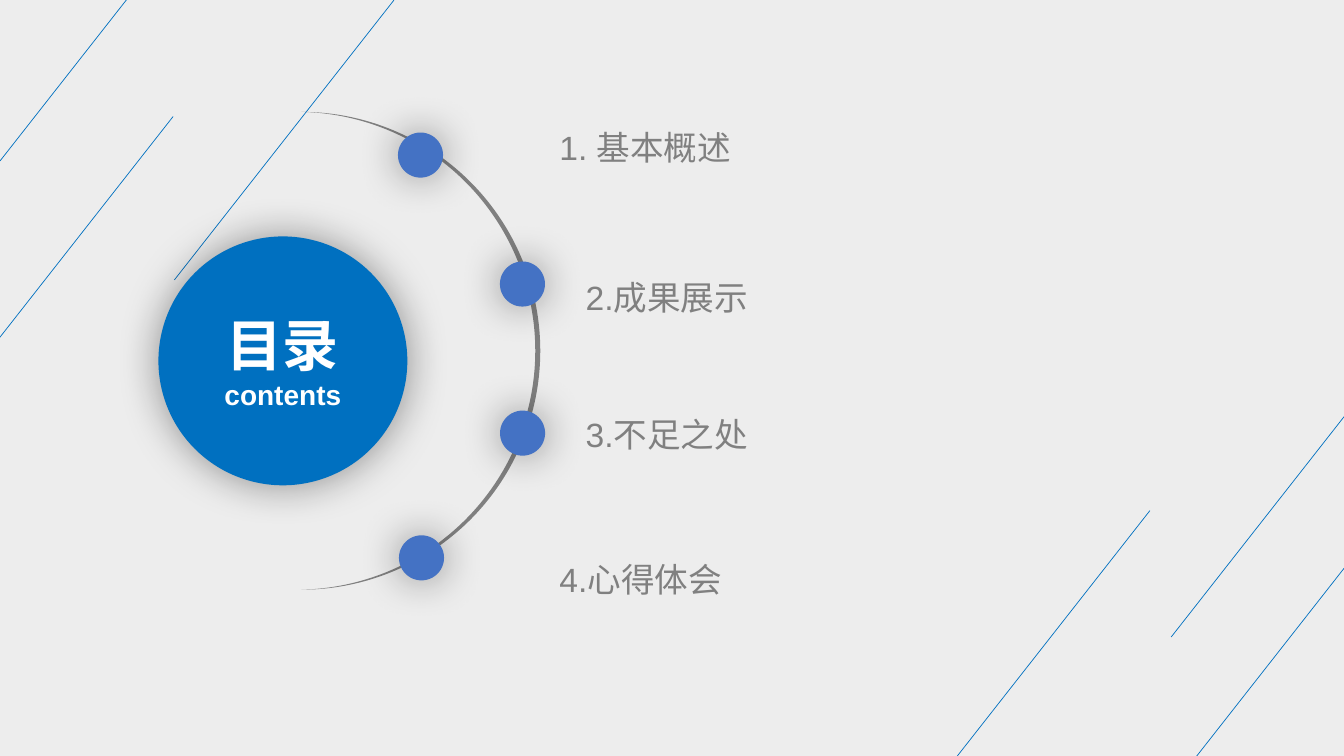
"""Build a contents slide with a round title, an arc and four numbered items."""
from dataclasses import dataclass

from lxml.etree import SubElement
from pptx import Presentation
from pptx.dml.color import RGBColor as Color
from pptx.enum.shapes import MSO_CONNECTOR as Connector, MSO_SHAPE as Shape
from pptx.enum.text import MSO_ANCHOR as Anchor, MSO_AUTO_SIZE as AutoSize, PP_ALIGN as Align
from pptx.oxml.ns import qn
from pptx.util import Pt


@dataclass(frozen=True)
class Theme:
    background: Color = Color(0xED, 0xED, 0xED)
    blue: Color = Color(0x00, 0x70, 0xC0)
    dot: Color = Color(0x44, 0x72, 0xC4)
    gray: Color = Color(0x80, 0x80, 0x80)
    white: Color = Color(0xFF, 0xFF, 0xFF)
    font: str = "Arial"
    title_size: int = 40
    subtitle_size: int = 20
    item_size: int = 24


theme = Theme()


def add_figure(kind, left, top, width, height, color, glow=True):
    shape = slide.shapes.add_shape(kind, Pt(left), Pt(top), Pt(width), Pt(height))
    shape.fill.solid()
    shape.fill.fore_color.rgb = color
    shape.line.fill.background()
    shape.shadow.inherit = False
    if glow:
        effects = shape._element.spPr.find(qn("a:effectLst"))
        shadow = SubElement(effects, qn("a:outerShdw"), blurRad=str(Pt(30)), dist="0", algn="ctr", rotWithShape="0")
        tint = SubElement(shadow, qn("a:srgbClr"), val="000000")
        SubElement(tint, qn("a:alpha"), val="40000")
    return shape


def write_line(paragraph, text, size, color, bold, spacing):
    paragraph.line_spacing = spacing
    paragraph.space_before = Pt(0)
    run = paragraph.add_run()
    run.text = text
    run.font.name = theme.font
    run.font.size = Pt(size)
    run.font.bold = bold
    run.font.color.rgb = color


presentation = Presentation()
presentation.slide_width = Pt(960)
presentation.slide_height = Pt(540)
comparison_layout = presentation.slide_layouts[4]
slide = presentation.slides.add_slide(comparison_layout)
slide.background.fill.solid()
slide.background.fill.fore_color.rgb = theme.background

stripe_width, stripe_height = 156.8, 199.8
stripe_starts = [(664.6, 564.5), (836.6, 455), (-33.1, 283), (124.6, 199.9), (821.5, 582.5), (0, 115)]
for x, y in stripe_starts:
    stripe = slide.shapes.add_connector(
        Connector.STRAIGHT, Pt(x), Pt(y), Pt(x + stripe_width), Pt(y - stripe_height))
    stripe.line.color.rgb = theme.blue
    stripe.line.width = Pt(0.5)
    SubElement(stripe._element.spPr, qn("a:effectLst"))

title, *item_boxes = slide.placeholders
items = [
    ("1. 基本概述", 392.4, 72.7, 424),
    ("2.成果展示", 411.1, 180, 345.6),
    ("3.不足之处", 411.1, 277.9, 345.6),
    ("4.心得体会", 392.4, 380.9, 345.6),
]
for box, (text, left, top, width) in zip(item_boxes, items):
    box.left, box.top, box.width, box.height = Pt(left), Pt(top), Pt(width), Pt(46)
    frame = box.text_frame
    frame.word_wrap = True
    frame.auto_size = AutoSize.NONE
    frame.vertical_anchor = Anchor.TOP
    paragraph = frame.paragraphs[0]
    write_line(paragraph, text, theme.item_size, theme.gray, False, 1.5)
    properties = paragraph._p.get_or_add_pPr()
    properties.set("marL", "0")
    properties.set("indent", "0")
    SubElement(properties, qn("a:buNone"))

circle = add_figure(Shape.OVAL, 113.2, 168.9, 177.8, 177.8, theme.blue)
title.left, title.top, title.width, title.height = circle.left, circle.top, circle.width, circle.height
slide.shapes._spTree.append(title._element)
frame = title.text_frame
frame.word_wrap = True
frame.auto_size = AutoSize.NONE
frame.vertical_anchor = Anchor.MIDDLE
title_lines = [
    (frame.paragraphs[0], "目录", theme.title_size),
    (frame.add_paragraph(), "contents", theme.subtitle_size),
]
for paragraph, text, size in title_lines:
    paragraph.alignment = Align.CENTER
    write_line(paragraph, text, size, theme.white, True, 1.0)

arc = add_figure(Shape.MOON, 215.3, 79.9, 170.6, 341.3, theme.gray, glow=False)
arc.adjustments[0] = 0.021
arc.rotation = 180

dot_size = 32.2
for left, top in [(284.3, 94.7), (357.1, 186.8), (357.2, 293.3), (285, 382.4)]:
    add_figure(Shape.OVAL, left, top, dot_size, dot_size, theme.dot)

presentation.save("out.pptx")
